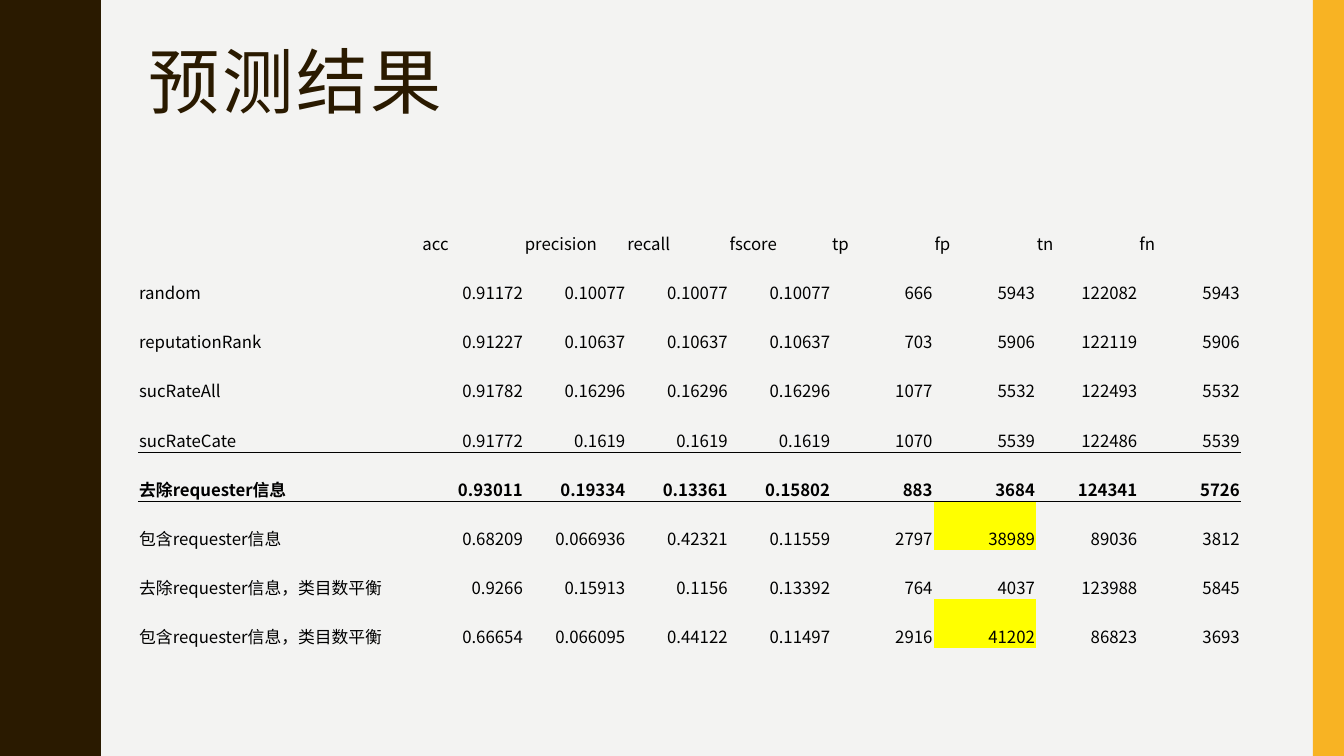
from lxml import etree
from pptx import Presentation
from pptx.dml.color import RGBColor
from pptx.enum import shapes, text
from pptx.oxml import ns
from pptx.util import Inches, Pt

TITLE = "预测结果"
HEADER = ["", "acc", "precision", "recall", "fscore", "tp", "fp", "tn", "fn"]
RESULTS = [
    ["random", "0.91172", "0.10077", "0.10077", "0.10077", "666", "5943", "122082", "5943"],
    ["reputationRank", "0.91227", "0.10637", "0.10637", "0.10637", "703", "5906", "122119", "5906"],
    ["sucRateAll", "0.91782", "0.16296", "0.16296", "0.16296", "1077", "5532", "122493", "5532"],
    ["sucRateCate", "0.91772", "0.1619", "0.1619", "0.1619", "1070", "5539", "122486", "5539"],
    ["去除requester信息", "0.93011", "0.19334", "0.13361", "0.15802", "883", "3684", "124341", "5726"],
    ["包含requester信息", "0.68209", "0.066936", "0.42321", "0.11559", "2797", "38989", "89036", "3812"],
    ["去除requester信息，类目数平衡", "0.9266", "0.15913", "0.1156", "0.13392", "764", "4037", "123988", "5845"],
    ["包含requester信息，类目数平衡", "0.66654", "0.066095", "0.44122", "0.11497", "2916", "41202", "86823", "3693"],
]
BOLD_ROW = 5
RULED = {4: "lnB", 5: "lnT"}
HIGHLIGHTED = {(6, 6), (8, 6)}
COLORS = {"bg": "F3F3F2", "brown": "2A1A00", "gold": "F8B323",
          "black": "000000", "yellow": "FFFF00"}
LATIN, CJK = "Arial Narrow", "Noto Sans CJK SC"
NO_GRID = "{2D5ABB26-0587-4C30-8999-92F81FD0307C}"

WAVES, WAVE_LEN = 5, 1.5
RISE = [(0.78, 0), (0.78, 0.07), (0.79, 0.14), (0.8, 0.2), (0.81, 0.25),
        (0.83, 0.29), (0.85, 0.33), (0.87, 0.38), (0.89, 0.42), (0.91, 0.46),
        (0.93, 0.5), (0.95, 0.55), (0.96, 0.61), (0.97, 0.68), (0.97, 0.75)]


def rgb(name):
    return RGBColor.from_string(COLORS[name])


def paint(sp, color):
    sp.shadow.inherit = False
    sp.fill.solid()
    sp.fill.fore_color.rgb = rgb(color)
    sp.line.fill.background()


def style_run(r, latin, color, **fmt):
    r.font.name = latin
    r.font.color.rgb = rgb(color)
    for name, value in fmt.items():
        setattr(r.font, name, value)
    etree.SubElement(r.font._element, ns.qn("a:ea"), typeface=CJK)


def add_rule(cell, side):
    """Draw a thin black border on one side of the cell."""
    ln = etree.Element(ns.qn("a:" + side), w=str(Pt(0.5)))
    fill = etree.SubElement(ln, ns.qn("a:solidFill"))
    etree.SubElement(fill, ns.qn("a:srgbClr"), val=COLORS["black"])
    cell._tc.get_or_add_tcPr().insert(0, ln)


def add_wave(s):
    fall = [(x, WAVE_LEN - y) for x, y in reversed(RISE[:-1])]
    edge = [(x, y + i * WAVE_LEN) for i in range(WAVES) for x, y in RISE + fall]
    fb = s.shapes.build_freeform(0, 0, scale=Inches(1))
    fb.add_line_segments(edge + [(0, WAVES * WAVE_LEN)], close=True)
    paint(fb.convert_to_shape(), "brown")


def add_title(s):
    tf = s.shapes.add_textbox(Inches(1.37), Inches(0.42), Inches(11.13), Inches(1.63)).text_frame
    tf.word_wrap = True
    p = tf.paragraphs[0]
    p.line_spacing = 0.9
    r = p.add_run()
    r.text = TITLE
    style_run(r, LATIN, "brown", size=Pt(51))
    r.font._element.set("spc", "200")


def fill_cell(cell, row, col, value):
    fmt = {"margin_left": Inches(0.01), "margin_right": Inches(0.01),
           "margin_top": Inches(0.01), "margin_bottom": 0,
           "vertical_anchor": text.MSO_ANCHOR.BOTTOM}
    for name, setting in fmt.items():
        setattr(cell, name, setting)
    p = cell.text_frame.paragraphs[0]
    p.font.size = Pt(12)
    if row and col:
        p.alignment = text.PP_ALIGN.RIGHT
    if value:
        r = p.add_run()
        r.text = value
        style_run(r, CJK, "black", size=Pt(12), bold=row == BOLD_ROW)
    if (row, col) in HIGHLIGHTED:
        cell.fill.solid()
        cell.fill.fore_color.rgb = rgb("yellow")
    else:
        cell.fill.background()
    if row in RULED:
        add_rule(cell, RULED[row])


def add_results(s):
    rows = [HEADER] + RESULTS
    frame = s.shapes.add_table(len(rows), len(HEADER), Inches(1.37), Inches(2.05),
                               Inches(10.94), Inches(4.38))
    table = frame.table
    table.first_row = table.horz_banding = False
    table._tbl.tblPr.find(ns.qn("a:tableStyleId")).text = NO_GRID
    for i, column in enumerate(table.columns):
        column.width = Inches(1.016 if i else 2.81)
    for i, values in enumerate(rows):
        for j, value in enumerate(values):
            fill_cell(table.cell(i, j), i, j, value)


def main():
    prs = Presentation()
    prs.slide_width, prs.slide_height = Inches(13.33), Inches(7.5)
    s = prs.slides.add_slide(prs.slide_layouts[6])
    s.background.fill.solid()
    s.background.fill.fore_color.rgb = rgb("bg")
    add_wave(s)
    bar = s.shapes.add_shape(shapes.MSO_SHAPE.RECTANGLE, Inches(13.02), 0,
                             Inches(0.31), Inches(7.5))
    paint(bar, "gold")
    add_title(s)
    add_results(s)
    prs.save("out.pptx")


if __name__ == "__main__":
    main()
